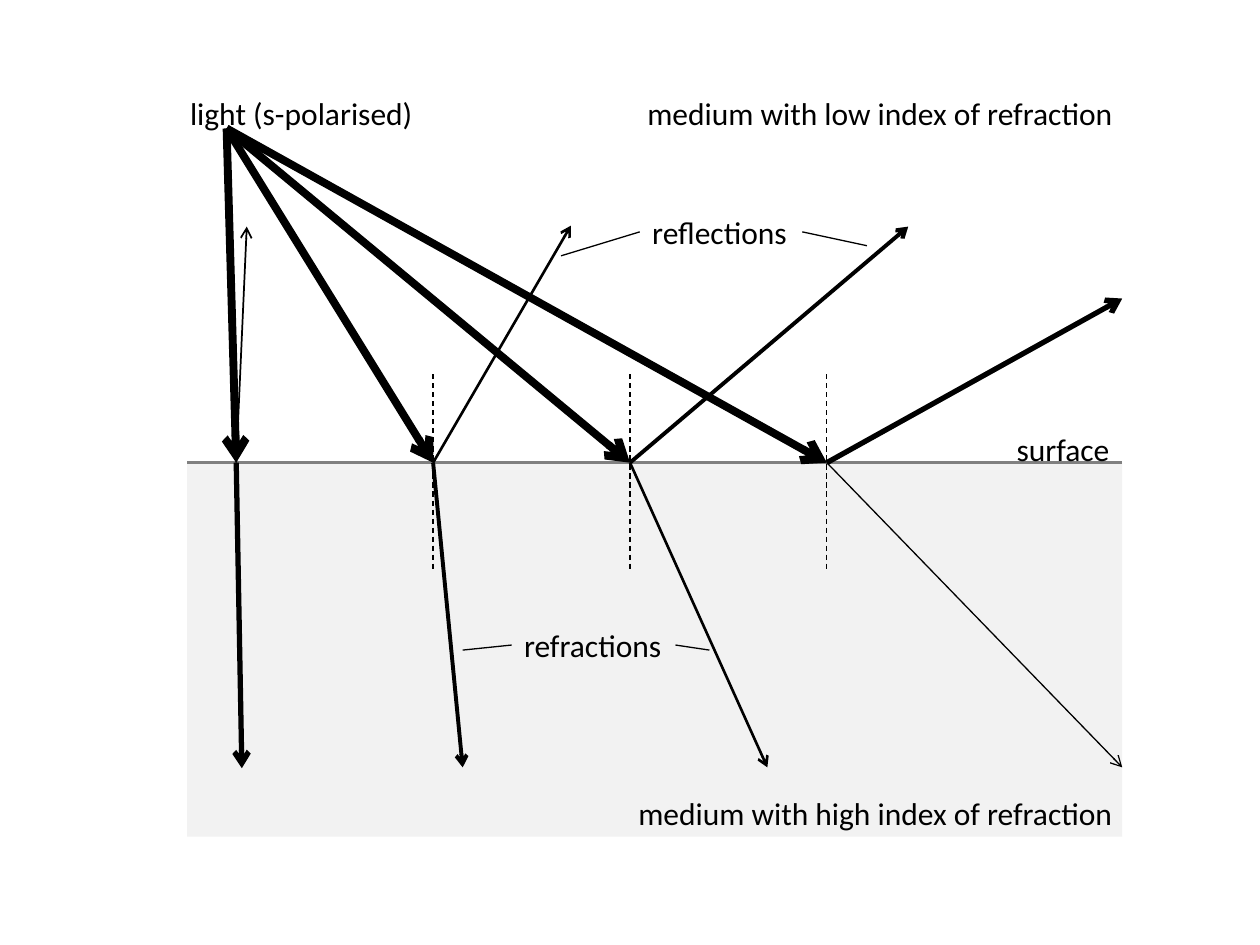
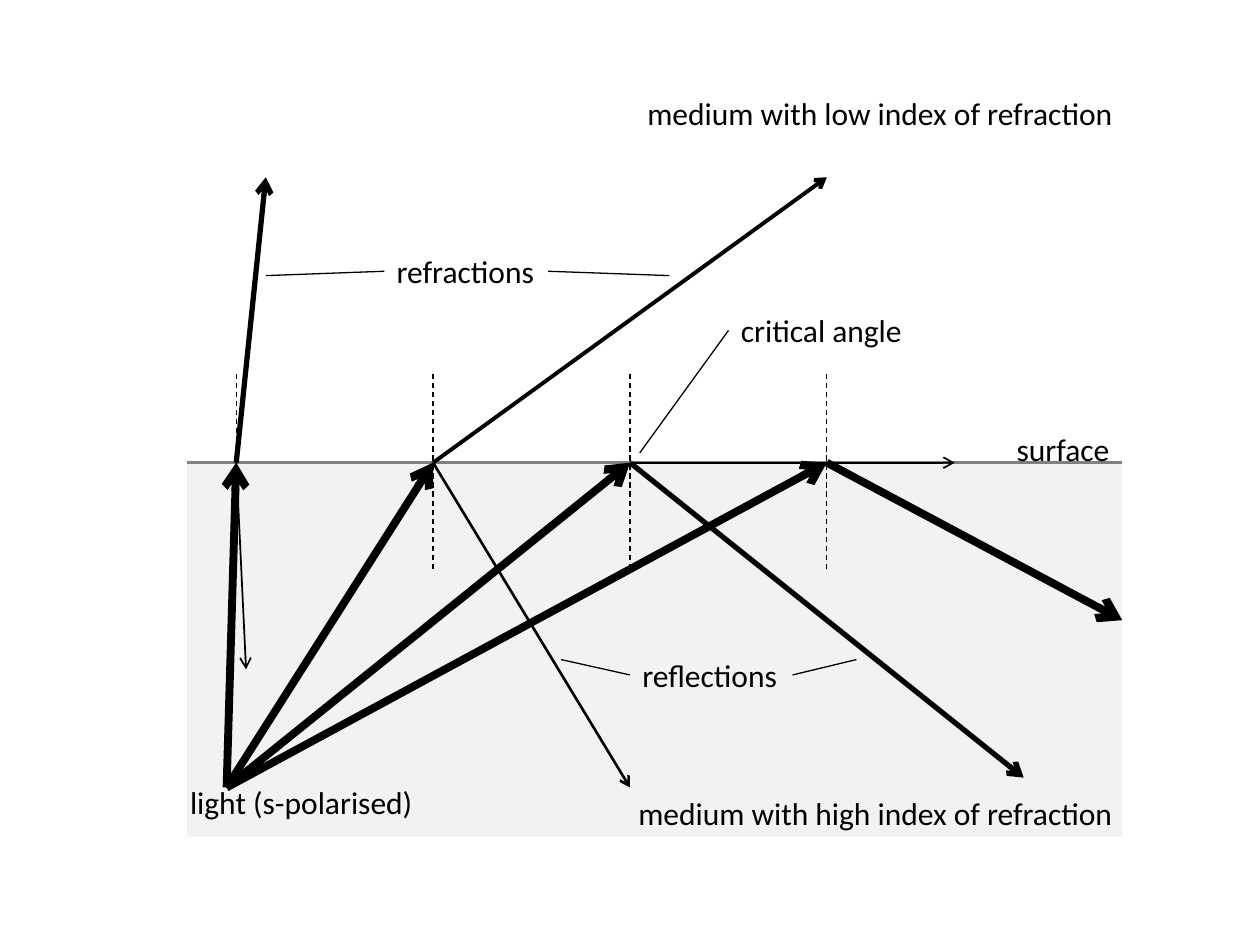
"""Two diagrams of light refracted and reflected at a surface between media."""
from pptx import Presentation
from pptx.dml.color import RGBColor
from pptx.enum.dml import MSO_LINE_DASH_STYLE as Dash
from pptx.enum.shapes import MSO_CONNECTOR as Connector, MSO_SHAPE as Shape
from pptx.enum.text import MSO_AUTO_SIZE as AutoSize, PP_ALIGN as Align
from pptx.oxml.ns import qn
from pptx.util import Pt
from lxml.etree import SubElement

BLACK, GREY, PALE = "000000", "808080", "F2F2F2"
FONT, TEXT_SIZE, LABEL_HEIGHT = "Calibri", 18, 28.8
LEFT, RIGHT, SURFACE, BOTTOM = 106.9, 641.3, 264.4, 478.1
NORMAL_TOP, NORMAL_BOTTOM = 213.8, 326.2
HITS = [(135 + 112.5 * step, SURFACE) for step in range(4)]
THIN, BEAM = 0.75, 4.5

MEDIA = [
    ("medium with low index of refraction", 359.3, 50.4, 283.7),
    ("medium with high index of refraction", 354.2, 450, 288.7),
]

DIAGRAMS = [
    {
        "source": (129.5, 73.4),
        "refractions": [(138.2, 439, 3), (264.4, 438.5, 2.25), (438.5, 438.5, 1.5), (641.3, 438.5, 0.75)],
        "reflections": [(141, 129.5, 1), (326.2, 129, 1.5), (519, 129.5, 2.25), (641.3, 170.6, 3)],
        "labels": [
            ("light (s-polarised)", 101.5, 50.4, 143.3, []),
            ("refractions", 292.4, 354.2, 93.6, [(264.4, 371.5), (405.4, 371.5)]),
            ("reflections", 365.6, 118.1, 92.9, [(320.6, 146.2), (495.4, 140.4)]),
        ],
    },
    {
        "source": (129.5, 450),
        "refractions": [(151.9, 101.3, 3), (472.5, 101.3, 2.25), (545.6, SURFACE, 1)],
        "reflections": [(140.6, 382.5, 1), (360, 450, 1.5), (585, 444.4, 3), (641.3, 354.4, 4.5)],
        "labels": [
            ("light (s-polarised)", 101.5, 444.2, 143.3, []),
            ("refractions", 219.6, 140.6, 93.6, [(151.9, 157.5), (382.5, 157.5)]),
            ("reflections", 360, 371.3, 92.9, [(320.6, 376.9), (489.4, 376.9)]),
            ("critical angle", 416.3, 174.4, 108, [(365.6, 258.8)]),
        ],
    },
]


def colour(hex_code):
    return RGBColor.from_string(hex_code)


def add_line(page, start, end, width=THIN, line_colour=BLACK, dash=None, arrow=False):
    line = page.shapes.add_connector(Connector.STRAIGHT, *map(Pt, (*start, *end)))
    line.line.color.rgb = colour(line_colour)
    line.line.width = Pt(width)
    if dash:
        line.line.dash_style = dash
    if arrow:
        SubElement(line.line._get_or_add_ln(), qn("a:tailEnd"), type="arrow")
    SubElement(line._element.spPr, qn("a:effectLst"))


def add_label(page, text, left, top, width, align=Align.LEFT):
    box = page.shapes.add_textbox(*map(Pt, (left, top, width, LABEL_HEIGHT)))
    frame = box.text_frame
    frame.word_wrap = False
    frame.auto_size = AutoSize.SHAPE_TO_FIT_TEXT
    para = frame.paragraphs[0]
    para.text = text
    para.alignment = align
    para.font.name = FONT
    para.font.size = Pt(TEXT_SIZE)
    para.font.color.rgb = colour(BLACK)


def add_media(page):
    size = (RIGHT - LEFT, BOTTOM - SURFACE)
    dense = page.shapes.add_shape(Shape.RECTANGLE, *map(Pt, (LEFT, SURFACE, *size)))
    dense.shadow.inherit = False
    dense.fill.solid()
    dense.fill.fore_color.rgb = colour(PALE)
    dense.line.fill.background()
    add_line(page, (LEFT, SURFACE), (RIGHT, SURFACE), 1.5, GREY)
    add_label(page, "surface", 573.8, 242, 68.4)
    for medium in MEDIA:
        add_label(page, *medium, Align.RIGHT)
    for x, _ in HITS:
        add_line(page, (x, NORMAL_TOP), (x, NORMAL_BOTTOM), dash=Dash.DASH)


def add_rays(page, diagram):
    for hit in HITS:
        add_line(page, diagram["source"], hit, BEAM, arrow=True)
    for kind in ("refractions", "reflections"):
        for hit, (x, y, width) in zip(HITS, diagram[kind]):
            add_line(page, hit, (x, y), width, arrow=True)


def add_labels(page, labels):
    for text, left, top, width, targets in labels:
        add_label(page, text, left, top, width)
        for target in targets:
            side = left if target[0] < left else left + width
            add_line(page, (side, top + LABEL_HEIGHT / 2), target)


deck = Presentation()
deck.slide_width, deck.slide_height = Pt(720), Pt(540)
for diagram in DIAGRAMS:
    page = deck.slides.add_slide(deck.slide_layouts[6])
    add_media(page)
    add_rays(page, diagram)
    add_labels(page, diagram["labels"])
deck.save("out.pptx")
